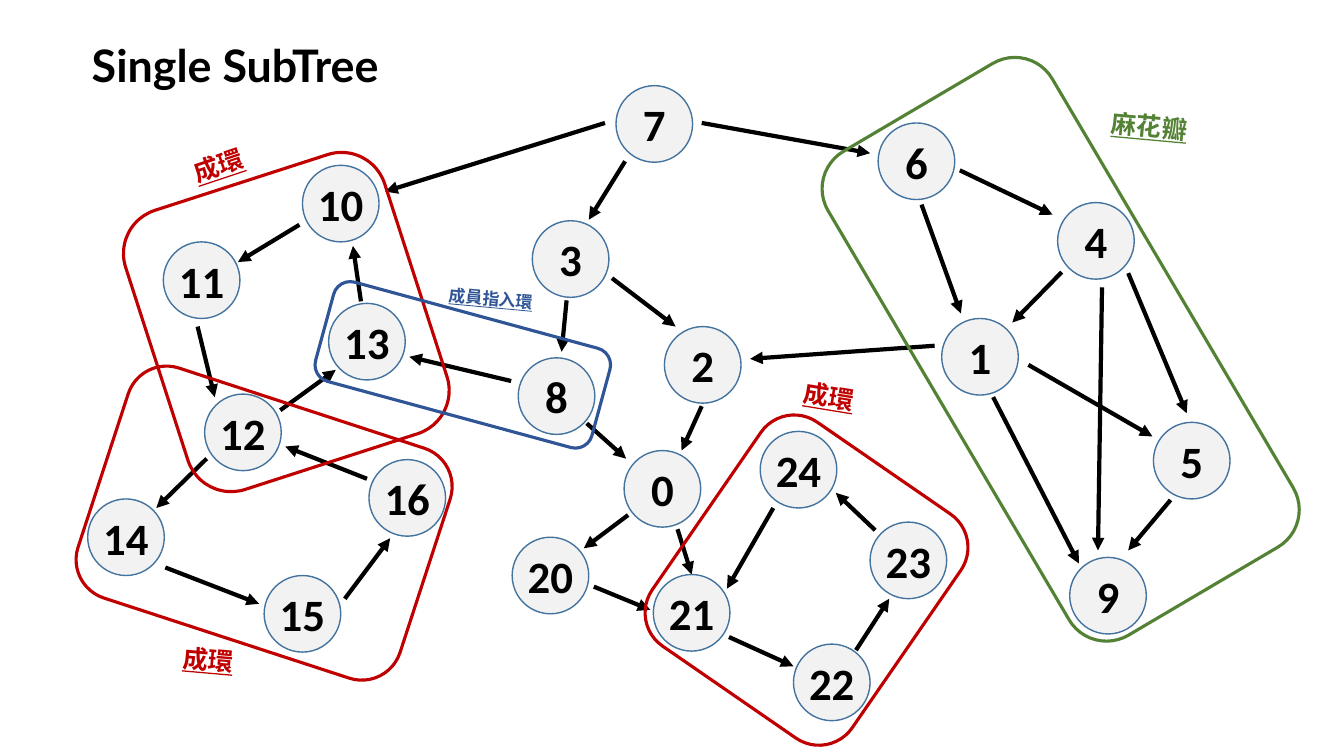
from lxml.etree import SubElement
from pptx import Presentation
from pptx.dml.color import RGBColor
from pptx.enum.shapes import MSO_CONNECTOR, MSO_SHAPE
from pptx.enum.text import MSO_ANCHOR, PP_ALIGN
from pptx.oxml.ns import qn
from pptx.util import Inches, Pt

COLORS = {
    "text": "000000", "node": "F2F2F2", "outline": "43739E",
    "ring": "C00000", "braid": "548235", "member": "2F5597",
}
NODE_SIZE = 0.76
CHINESE_FONT = "Noto Sans CJK SC"


def color(name):
    """Return the named palette colour."""
    return RGBColor.from_string(COLORS[name])


def write_text(shape, text, size=32, font="Calibri", fill="text", underline=False,
               align=PP_ALIGN.CENTER, wrap=False, margin=0):
    """Write one bold formatted line into a shape."""
    frame = shape.text_frame
    frame.word_wrap = wrap
    frame.vertical_anchor = MSO_ANCHOR.MIDDLE
    frame.margin_left = frame.margin_right = Inches(margin)
    frame.margin_top = frame.margin_bottom = 0
    paragraph = frame.paragraphs[0]
    paragraph.alignment = align
    run = paragraph.add_run()
    run.text = text
    run.font.size = Pt(size)
    run.font.name = font
    run.font.bold = True
    run.font.underline = underline
    run.font.color.rgb = color(fill)
    SubElement(run.font._element, qn("a:ea"), typeface=font)


def add_nodes(slide, box, nodes):
    """Draw numbered circles at offsets from the box corner."""
    for number, (left, top) in nodes.items():
        circle = slide.shapes.add_shape(
            MSO_SHAPE.OVAL, Inches(box[0] + left), Inches(box[1] + top),
            Inches(NODE_SIZE), Inches(NODE_SIZE))
        circle.shadow.inherit = False
        circle.fill.solid()
        circle.fill.fore_color.rgb = color("node")
        circle.line.color.rgb = color("outline")
        circle.line.width = Pt(1)
        write_text(circle, str(number))


def add_arrows(slide, box, arrows):
    """Draw arrows given as start and end offsets from the box corner."""
    for start_x, start_y, end_x, end_y in arrows:
        arrow = slide.shapes.add_connector(
            MSO_CONNECTOR.STRAIGHT, Inches(box[0] + start_x), Inches(box[1] + start_y),
            Inches(box[0] + end_x), Inches(box[1] + end_y))
        arrow.line.color.rgb = color("text")
        arrow.line.width = Pt(3)
        SubElement(arrow.line._get_or_add_ln(), qn("a:tailEnd"), type="triangle")
        SubElement(arrow._element.spPr, qn("a:effectLst"))


def add_frame(slide, box, left, top, width, height, rotation, line):
    """Draw a rotated rounded outline around a group of nodes."""
    frame = slide.shapes.add_shape(
        MSO_SHAPE.ROUNDED_RECTANGLE, Inches(box[0] + left), Inches(box[1] + top),
        Inches(width), Inches(height))
    frame.rotation = rotation
    frame.shadow.inherit = False
    frame.fill.background()
    frame.line.color.rgb = color(line)
    frame.line.width = Pt(2.25)


def add_label(slide, box, text, left, top, width, rotation, fill, size=18, height=0.4):
    """Add a rotated underlined caption."""
    label = slide.shapes.add_textbox(
        Inches(box[0] + left), Inches(box[1] + top), Inches(width), Inches(height))
    label.rotation = rotation
    write_text(label, text, size=size, font=CHINESE_FONT, fill=fill, underline=True)


def add_title(slide, box):
    """Place the title at the box corner."""
    title = slide.shapes.title
    title.left, title.top = Inches(box[0]), Inches(box[1])
    title.width, title.height = Inches(3.3), Inches(0.64)
    write_text(title, "Single SubTree", font="Lato", align=PP_ALIGN.LEFT,
               wrap=True, margin=0.1)


def add_tree(slide, box):
    """Draw the central tree and the arrows leaving it."""
    add_nodes(slide, box, {
        7: (1.11, 0.85), 3: (0.28, 2.19), 8: (0.14, 3.55),
        2: (1.59, 3.24), 0: (1.19, 4.47), 20: (0.08, 5.33),
    })
    add_arrows(slide, box, [
        (1.2, 1.6, 0.84, 2.18), (1, 1.22, -1.18, 1.9), (1.96, 1.22, 3.63, 1.52),
        (0.62, 2.98, 0.57, 3.49), (1.07, 2.76, 1.7, 3.24), (0.82, 4.2, 1.21, 4.55),
        (1.96, 4.03, 1.76, 4.47), (1.23, 5.11, 0.79, 5.44), (0.89, 5.82, 1.45, 6.05),
        (1.72, 5.25, 1.86, 5.7), (0.07, 3.78, -0.94, 3.54),
    ])


def add_linked_rings(slide, box):
    """Draw the two rings that share node 12."""
    add_nodes(slide, box, {
        10: (3, 0.64), 11: (1.62, 1.4), 13: (3.26, 2.01), 12: (2.03, 2.91),
        14: (0.87, 3.95), 15: (2.62, 4.71), 16: (3.66, 3.56),
    })
    add_arrows(slide, box, [
        (2.97, 1.23, 2.36, 1.6), (3.58, 1.99, 3.5, 1.44), (1.96, 2.24, 2.13, 2.94),
        (2.78, 3.07, 3.33, 2.67), (2.05, 3.55, 1.55, 4.04), (1.64, 4.63, 2.57, 4.99),
        (3.42, 4.94, 3.87, 4.34), (3.64, 3.75, 2.83, 3.43),
    ])
    add_frame(slide, box, 0.94, 2.99, 3.36, 2.4, 18.1, "ring")
    add_frame(slide, box, 1.49, 0.74, 2.7, 2.91, 342.1, "ring")
    add_label(slide, box, "成環", 1.81, 0.44, 0.71, 341.5, "ring")
    add_label(slide, box, "成環", 1.71, 5.34, 0.71, 5, "ring")


def add_lower_ring(slide, box):
    """Draw the ring of nodes 21 to 24."""
    add_nodes(slide, box, {
        21: (0.48, 1.7), 22: (1.87, 2.39), 23: (2.63, 1.18), 24: (1.54, 0.28),
    })
    add_arrows(slide, box, [
        (1.23, 2.32, 1.87, 2.61), (2.49, 2.45, 2.82, 1.94),
        (2.68, 1.26, 2.29, 0.89), (1.67, 1.04, 1.21, 1.84),
    ])
    add_frame(slide, box, 0.65, 0.55, 2.7, 2.41, 304.6, "ring")
    add_label(slide, box, "成環", 1.87, -0.27, 0.71, 9.3, "ring")


def add_braid(slide, box):
    """Draw the green group on the right."""
    add_nodes(slide, box, {
        6: (0.71, 1.22), 1: (1.34, 3.16), 4: (2.49, 2.01),
        5: (3.44, 4.19), 9: (2.61, 5.53),
    })
    add_arrows(slide, box, [
        (1.52, 1.69, 2.44, 2.13), (1.14, 2.03, 1.53, 3.11), (1.85, 3.94, 2.7, 5.59),
        (2.2, 3.62, 3.43, 4.33), (1.27, 3.43, -0.56, 3.56), (3.19, 2.71, 3.77, 4.1),
        (3.61, 4.96, 3.19, 5.46), (2.93, 2.85, 2.89, 5.46), (2.53, 2.7, 2.04, 3.2),
    ])
    add_frame(slide, box, 1.23, 0.68, 2.58, 5.57, 329.5, "braid")
    add_label(slide, box, "麻花瓣", 2.92, 1.05, 0.96, 5.3, "braid")


def add_member_link(slide, box):
    """Outline the tree member that points into a ring."""
    add_label(slide, box, "成員指入環", 1.35, -0.19, 1.04, 5.3, "member", size=12, height=0.3)
    add_frame(slide, box, 0.17, 0.11, 2.84, 1.02, 15.2, "member")


def main():
    """Build and save the slide."""
    presentation = Presentation()
    presentation.slide_width = Inches(13.33)
    presentation.slide_height = Inches(7.5)
    slide = presentation.slides.add_slide(presentation.slide_layouts[5])
    add_title(slide, (0.81, 0.32))
    add_tree(slide, (5, 0))
    add_linked_rings(slide, (0, 1))
    add_lower_ring(slide, (6, 4))
    add_braid(slide, (8, 0))
    add_member_link(slide, (3, 3))
    presentation.save("out.pptx")


if __name__ == "__main__":
    main()
